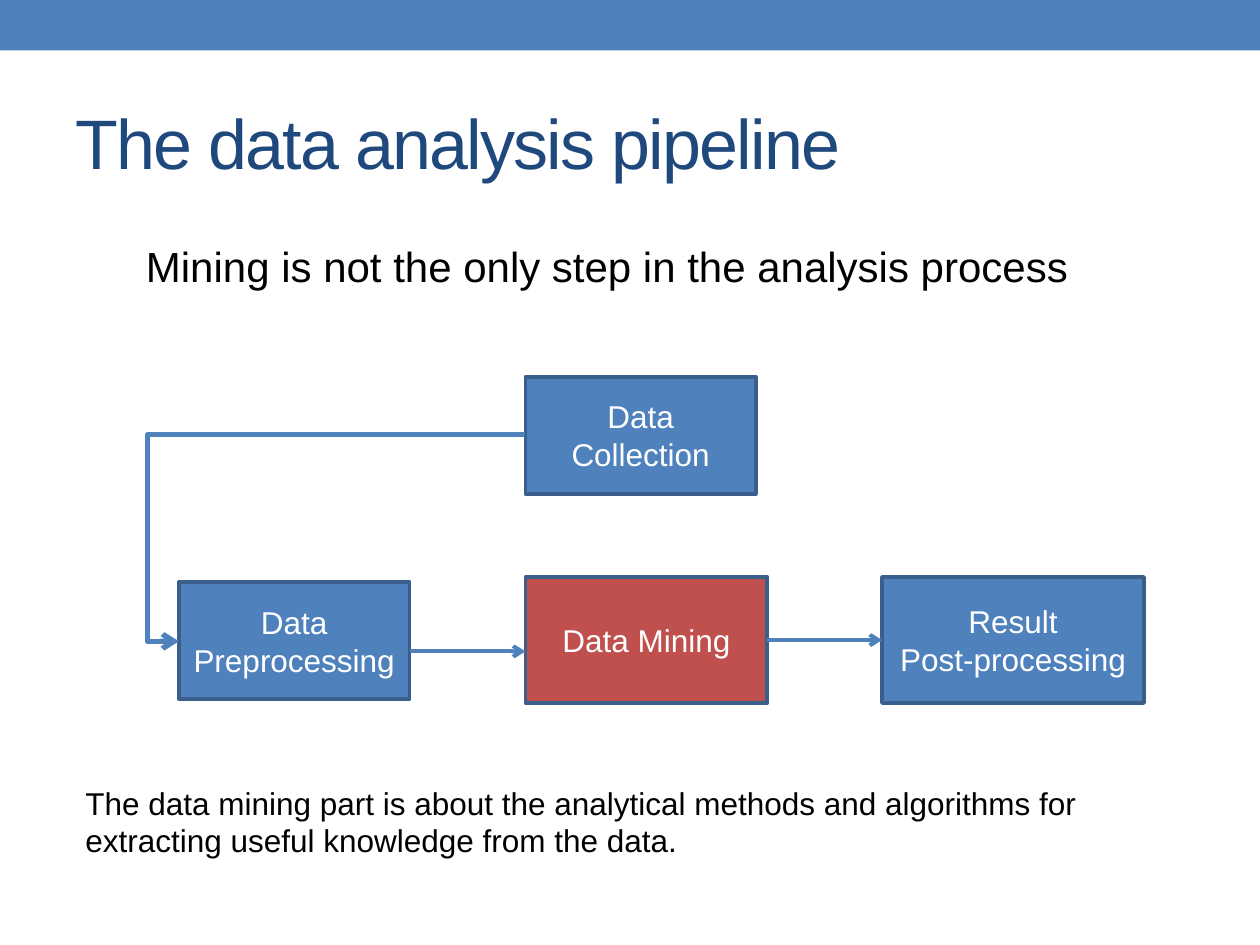
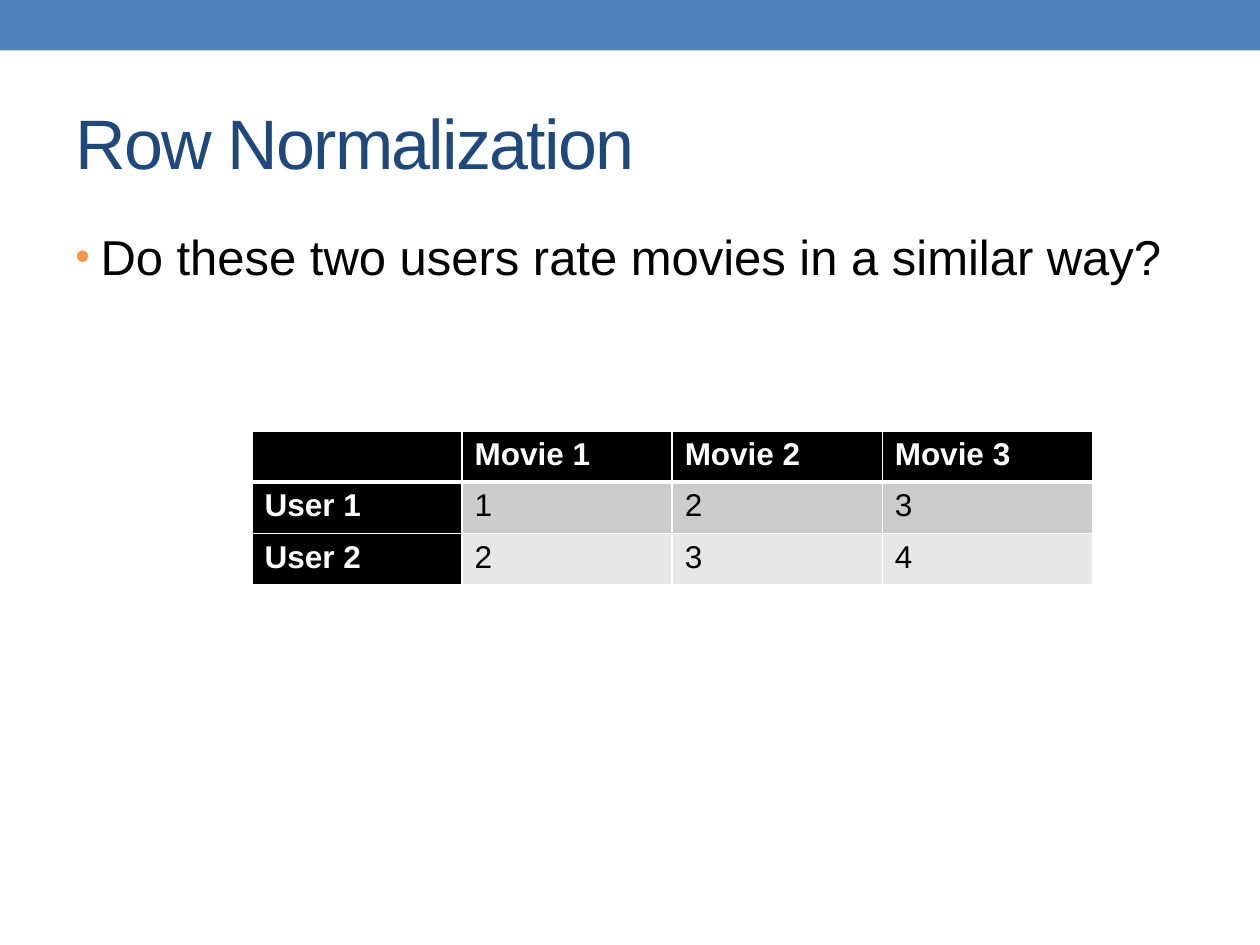
import dataclasses

import lxml.etree
import pptx
import pptx.dml.color
import pptx.enum.shapes
import pptx.enum.text
import pptx.oxml.ns
import pptx.util

Inches = pptx.util.Inches
Pt = pptx.util.Pt
RGB = pptx.dml.color.RGBColor.from_string
qn = pptx.oxml.ns.qn
ALIGN = pptx.enum.text.PP_ALIGN
ANCHOR = pptx.enum.text.MSO_ANCHOR
CONNECTOR = pptx.enum.shapes.MSO_CONNECTOR
RECTANGLE = pptx.enum.shapes.MSO_SHAPE.RECTANGLE


@dataclasses.dataclass(frozen=True)
class Theme:
    font: str = "Arial"
    blue: str = "4F81BD"
    outline: str = "3A5F8C"
    red: str = "C0504D"
    navy: str = "1F497D"
    orange: str = "F79646"
    black: str = "000000"
    white: str = "FFFFFF"
    bands: tuple = ("CCCCCC", "E7E7E7")
    title_size: int = 40
    bullet_size: int = 28
    lead_size: int = 24
    body_size: int = 18


THEME = Theme()


def add_xml(parent, tag, **attributes):
    return lxml.etree.SubElement(parent, qn(tag), attributes)


def write(frame, text, size=THEME.body_size, color=THEME.black, bold=False,
          align=ALIGN.LEFT, anchor=ANCHOR.TOP, tracking=None, bullet=None):
    frame.word_wrap = True
    frame.vertical_anchor = anchor
    for index, line in enumerate(text.split("\n")):
        paragraph = frame.add_paragraph() if index else frame.paragraphs[0]
        paragraph.alignment = align
        if bullet:
            properties = paragraph._p.get_or_add_pPr()
            properties.set("marL", str(Inches(0.2)))
            properties.set("indent", str(Inches(-0.2)))
            bullet_color = add_xml(properties, "a:buClr")
            add_xml(bullet_color, "a:srgbClr", val=THEME.orange)
            add_xml(properties, "a:buSzPct", val="85000")
            add_xml(properties, "a:buFont", typeface=THEME.font)
            add_xml(properties, "a:buChar", char=bullet)
        run = paragraph.add_run()
        run.text = line
        run.font.name = THEME.font
        run.font.size = Pt(size)
        run.font.bold = bold
        run.font.color.rgb = RGB(color)
        if tracking:
            run._r.get_or_add_rPr().set("spc", str(tracking * 100))


class Deck:
    def __init__(self, theme):
        self.theme = theme
        self.presentation = pptx.Presentation()
        self.presentation.slide_width = Inches(10)
        self.presentation.slide_height = Inches(7.5)
        self.slide = None

    def start(self, title):
        self.slide = self.presentation.slides.add_slide(self.presentation.slide_layouts[6])
        self.box(0, 0, 10, 0.4, self.theme.blue)
        self.text(0.5, 0.58, 9, 1.08, title, size=self.theme.title_size,
                  color=self.theme.navy, anchor=ANCHOR.MIDDLE, tracking=-1)

    def text(self, left, top, width, height, text, **style):
        area = self.slide.shapes.add_textbox(
            Inches(left), Inches(top), Inches(width), Inches(height))
        write(area.text_frame, text, **style)

    def box(self, left, top, width, height, fill, outline=None):
        rectangle = self.slide.shapes.add_shape(
            RECTANGLE, Inches(left), Inches(top), Inches(width), Inches(height))
        rectangle.shadow.inherit = False
        rectangle.fill.solid()
        rectangle.fill.fore_color.rgb = RGB(fill)
        if outline:
            rectangle.line.color.rgb = RGB(outline)
            rectangle.line.width = Pt(2.08)
        else:
            rectangle.line.fill.background()
        return rectangle

    def step(self, left, top, width, height, label, fill=None):
        rectangle = self.box(left, top, width, height,
                             fill or self.theme.blue, self.theme.outline)
        write(rectangle.text_frame, label, color=self.theme.white,
              align=ALIGN.CENTER, anchor=ANCHOR.MIDDLE)
        return rectangle

    def arrow(self, start, end, weight=2.25, bend=None):
        kind = CONNECTOR.ELBOW if bend else CONNECTOR.STRAIGHT
        connector = self.slide.shapes.add_connector(
            kind, *(Inches(length) for length in start + end))
        connector.line.color.rgb = RGB(self.theme.blue)
        connector.line.width = Pt(weight)
        properties = connector._element.spPr
        add_xml(properties.find(qn("a:ln")), "a:tailEnd", type="arrow")
        add_xml(properties, "a:effectLst")
        if bend:
            adjustments = properties.find(qn("a:prstGeom")).get_or_add_avLst()
            add_xml(adjustments, "a:gd", name="adj1", fmla=f"val {round(bend * 100000)}")
        return connector

    def table(self, left, top, width, height, rows):
        grid = self.slide.shapes.add_table(
            len(rows), len(rows[0]), Inches(left), Inches(top),
            Inches(width), Inches(height)).table
        for r, row in enumerate(rows):
            for c, value in enumerate(row):
                heading = r == 0 or c == 0
                cell = grid.cell(r, c)
                self.borders(cell, top=3 if r == 1 else 1, bottom=3 if r == 0 else 1)
                cell.fill.solid()
                cell.fill.fore_color.rgb = RGB(
                    self.theme.black if heading else self.theme.bands[(r - 1) % 2])
                if value:
                    write(cell.text_frame, value, bold=heading,
                          color=self.theme.white if heading else self.theme.black)

    def borders(self, cell, top, bottom):
        properties = cell._tc.get_or_add_tcPr()
        for side, weight in (("L", 1), ("R", 1), ("T", top), ("B", bottom)):
            edge = add_xml(properties, f"a:ln{side}", w=str(Pt(weight)))
            add_xml(add_xml(edge, "a:solidFill"), "a:srgbClr", val=self.theme.white)


def pipeline_slide(deck):
    deck.start("The data analysis pipeline")
    deck.step(1.42, 4.62, 1.83, 0.93, "Data Preprocessing")
    mining = deck.step(4.17, 4.58, 1.92, 1, "Data Mining", fill=deck.theme.red)
    result = deck.step(7, 4.58, 2.08, 1, "Result\nPost-processing")
    deck.arrow((3.25, 5.17), (4.17, 5.17))
    mining_to_result = deck.arrow((6.09, 5.08), (7, 5.08))
    mining_to_result.begin_connect(mining, 3)
    mining_to_result.end_connect(result, 1)
    deck.step(4.17, 2.99, 1.83, 0.93, "Data Collection")
    deck.arrow((4.17, 3.45), (1.42, 5.09), weight=3, bend=1.09)
    deck.text(1.06, 1.86, 7.94, 0.91, "Mining is not the only step in the analysis process",
              size=deck.theme.lead_size)
    deck.text(0.58, 6.17, 9.17, 0.71,
              "The data mining part is about the analytical methods and algorithms "
              "for extracting useful knowledge from the data.")


def normalization_slide(deck):
    deck.start("Row Normalization")
    deck.text(0.5, 1.75, 9, 5.33, "Do these two users rate movies in a similar way?",
              size=deck.theme.bullet_size, bullet="•")
    deck.table(2, 3.42, 6.67, 1.22, [
        ["", "Movie 1", "Movie 2", "Movie 3"],
        ["User 1", "1", "2", "3"],
        ["User 2", "2", "3", "4"],
    ])


def main():
    deck = Deck(THEME)
    pipeline_slide(deck)
    normalization_slide(deck)
    deck.presentation.save("out.pptx")


if __name__ == "__main__":
    main()
